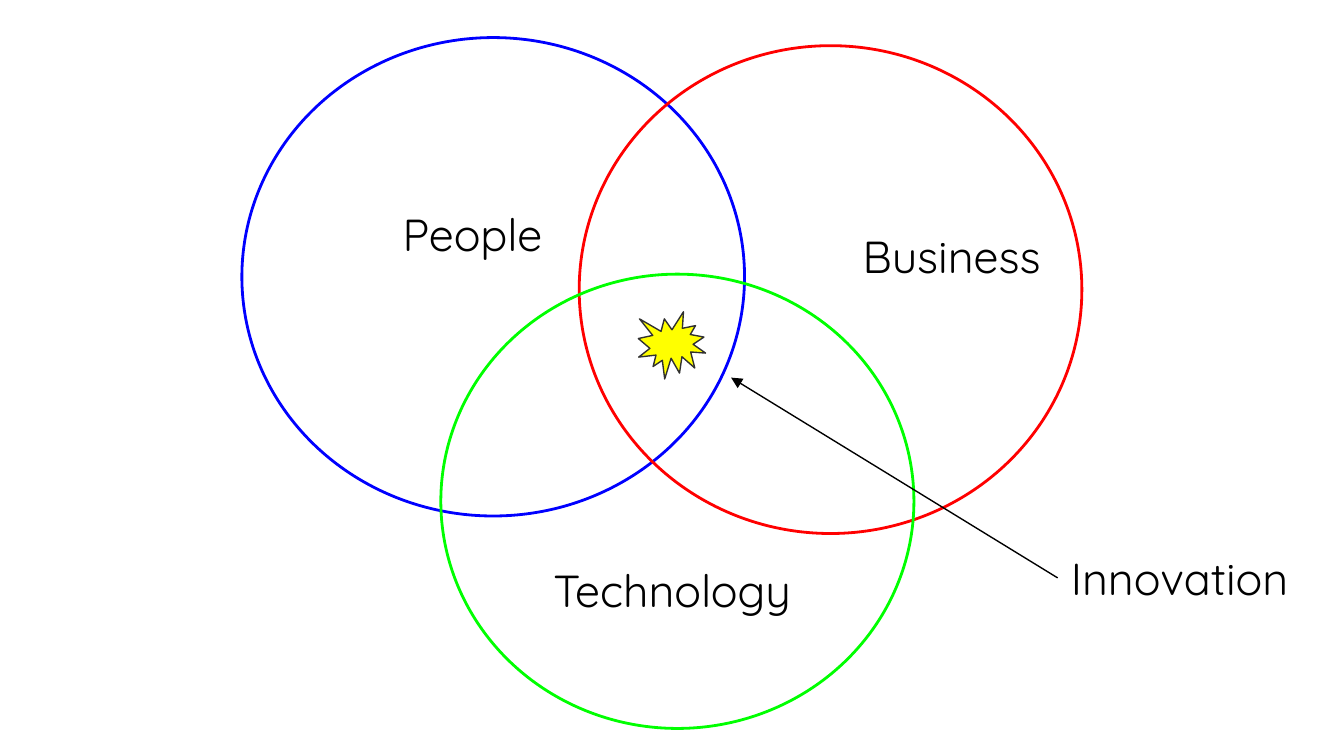
from lxml import etree
from pptx import Presentation
from pptx.dml.color import RGBColor
from pptx.enum.shapes import MSO_CONNECTOR, MSO_SHAPE
from pptx.enum.text import MSO_ANCHOR, PP_ALIGN
from pptx.oxml.ns import qn
from pptx.util import Inches, Pt

OVAL = MSO_SHAPE.OVAL
BURST = MSO_SHAPE.EXPLOSION1
STRAIGHT = MSO_CONNECTOR.STRAIGHT
TOP = MSO_ANCHOR.TOP
LEFT, CENTER = PP_ALIGN.LEFT, PP_ALIGN.CENTER

BLUE = RGBColor(0x00, 0x00, 0xFF)
RED = RGBColor(0xFF, 0x00, 0x00)
GREEN = RGBColor(0x00, 0xFF, 0x00)
YELLOW = RGBColor(0xFF, 0xFF, 0x00)
DARK_GRAY = RGBColor(0x30, 0x30, 0x30)
BLACK = RGBColor(0x00, 0x00, 0x00)

FONT = "Quicksand"
SLIDE_WIDTH = Inches(10)
SLIDE_HEIGHT = SLIDE_WIDTH * 9 // 16
CELL = SLIDE_WIDTH / 100  # the slide is a grid of square cells, 100 columns wide

# column, row, columns, rows, then colour or alignment
CIRCLES = [
    (18, 2.8, 37.4, 35.6, BLUE),
    (43.1, 3.4, 37.4, 36.3, RED),
    (32.8, 20.4, 35.2, 33.8, GREEN),
]
LABELS = [
    ("People", 27.2, 14.4, 15.9, 6, CENTER),
    ("Business", 63.2, 16, 16.4, 7.2, LEFT),
    ("Technology", 40.2, 40.9, 20.4, 6.6, LEFT),
    ("Innovation", 78.7, 40, 19.7, 7.2, LEFT),
]


def cells(*counts):
    """Turn counts of grid cells into lengths."""
    return [round(count * CELL) for count in counts]


def add_outlined_shape(slide, kind, box, line_color, line_width, fill_color=None):
    shape = slide.shapes.add_shape(kind, *cells(*box))
    shape.shadow.inherit = False
    if fill_color is None:
        shape.fill.background()
    else:
        shape.fill.solid()
        shape.fill.fore_color.rgb = fill_color
    shape.line.color.rgb = line_color
    shape.line.width = Pt(line_width)


def add_label(slide, text, box, alignment):
    text_frame = slide.shapes.add_textbox(*cells(*box)).text_frame
    text_frame.word_wrap = True
    text_frame.vertical_anchor = TOP
    text_frame.margin_left = text_frame.margin_right = Inches(0.1)
    text_frame.margin_top = text_frame.margin_bottom = Inches(0.1)
    text_frame.text = text
    paragraph = text_frame.paragraphs[0]
    paragraph.alignment = alignment
    font = paragraph.runs[0].font
    font.name = FONT
    font.size = Pt(24)
    font.color.rgb = BLACK


def add_arrow(slide, start, end):
    connector = slide.shapes.add_connector(STRAIGHT, *cells(*start, *end))
    connector.line.color.rgb = BLACK
    connector.line.width = Pt(0.75)
    properties = connector._element.spPr
    etree.SubElement(properties.find(qn("a:ln")), qn("a:tailEnd"), type="triangle")
    etree.SubElement(properties, qn("a:effectLst"))


def main():
    presentation = Presentation()
    presentation.slide_width = SLIDE_WIDTH
    presentation.slide_height = SLIDE_HEIGHT
    slide = presentation.slides.add_slide(presentation.slide_layouts[6])

    for *box, color in CIRCLES:
        add_outlined_shape(slide, OVAL, box, color, 1.5)
    for text, *box, alignment in LABELS:
        add_label(slide, text, box, alignment)
    add_outlined_shape(slide, BURST, (47.5, 23.2, 5, 5), DARK_GRAY, 0.75, YELLOW)
    add_arrow(slide, (78.7, 43), (54.4, 28.1))

    presentation.save("out.pptx")


if __name__ == "__main__":
    main()
